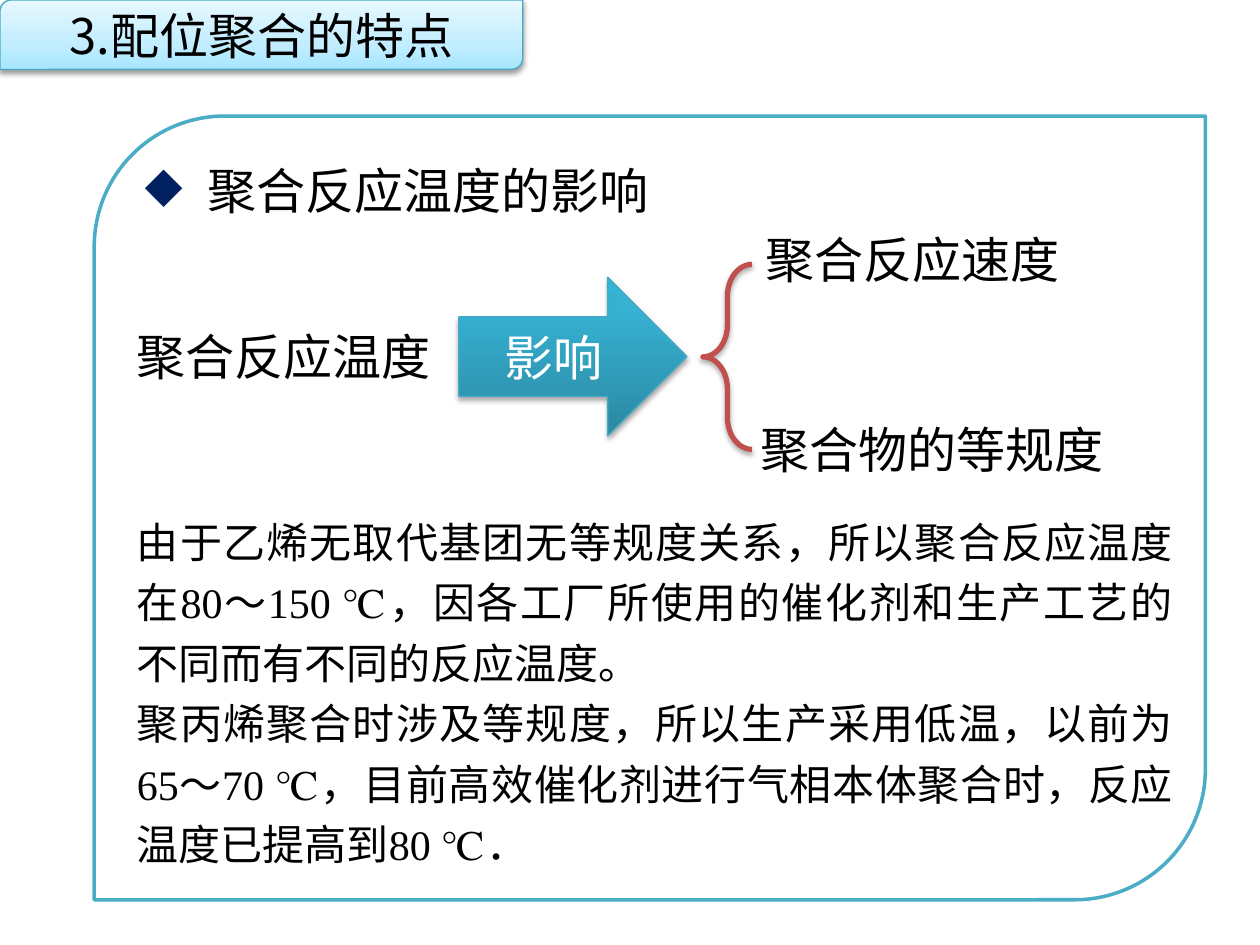
from dataclasses import dataclass
from typing import Any, Optional

from lxml.etree import SubElement
from pptx import Presentation
from pptx.dml.color import RGBColor
from pptx.enum.shapes import MSO_SHAPE
from pptx.enum.text import MSO_ANCHOR, MSO_AUTO_SIZE, PP_ALIGN
from pptx.oxml.ns import qn
from pptx.util import Cm, Pt

BLACK = RGBColor(0x00, 0x00, 0x00)
WHITE = RGBColor(0xFF, 0xFF, 0xFF)
NAVY = RGBColor(0x00, 0x20, 0x60)
RED = RGBColor(0xC0, 0x50, 0x4D)
AQUA = RGBColor(0x4B, 0xAC, 0xC6)
AQUA_EDGE = RGBColor(0x46, 0xAA, 0xC5)
PALE_STOPS = (
    (0, RGBColor(0xA7, 0xE6, 0xFF)),
    (35, RGBColor(0xC1, 0xED, 0xFF)),
    (100, RGBColor(0xE7, 0xF8, 0xFF)),
)
TEAL_STOPS = (
    (0, RGBColor(0x2A, 0x88, 0xA2)),
    (80, RGBColor(0x37, 0xB1, 0xD2)),
    (100, RGBColor(0x34, 0xB4, 0xD6)),
)
CJK_FONT = "Noto Sans CJK SC"


@dataclass(frozen=True)
class Area:
    left: float
    top: float
    width: float
    height: float

    def lengths(self) -> tuple:
        return Cm(self.left), Cm(self.top), Cm(self.width), Cm(self.height)


@dataclass(frozen=True)
class Figure:
    kind: MSO_SHAPE
    area: Area
    line: RGBColor
    line_width: float
    stops: tuple = ()
    shadow_alpha: int = 0
    shadow_distance: float = 1.8


@dataclass(frozen=True)
class Label:
    text: str
    area: Area


TITLE = Figure(MSO_SHAPE.ROUND_2_DIAG_RECTANGLE, Area(0, 0, 10.54, 1.4),
               AQUA_EDGE, 0.75, PALE_STOPS, 38, 1.6)
PANEL = Figure(MSO_SHAPE.ROUND_2_DIAG_RECTANGLE, Area(1.9, 2.34, 22.4, 15.8), AQUA, 2)
ARROW = Figure(MSO_SHAPE.RIGHT_ARROW, Area(9.25, 5.59, 4.6, 3.2),
               AQUA_EDGE, 0.75, TEAL_STOPS, 35)
BRACE = Figure(MSO_SHAPE.LEFT_BRACE, Area(14.17, 5.33, 0.99, 3.73), RED, 3, (), 35)

CAUSE = Label("聚合反应温度", Area(2.51, 6.45, 6.5, 1.45))
EFFECTS = (
    Label("聚合反应速度", Area(15.19, 4.5, 6.5, 1.45)),
    Label("聚合物的等规度", Area(15.09, 8.33, 7.49, 1.45)),
)
BODY_AREA = Area(2.51, 10.08, 21.39, 7.65)
BODY_TEXTS = (
    "由于乙烯无取代基团无等规度关系，所以聚合反应温度在80～150 ℃，"
    "因各工厂所使用的催化剂和生产工艺的不同而有不同的反应温度。",
    "聚丙烯聚合时涉及等规度，所以生产采用低温，以前为65～70 ℃，"
    "目前高效催化剂进行气相本体聚合时，反应温度已提高到80 ℃．",
)


def apply_format(target: Any, values: dict) -> None:
    for name, value in values.items():
        setattr(target, name, value)


def add_color(parent: Any, color: RGBColor) -> Any:
    return SubElement(parent, qn("a:srgbClr"), val=str(color))


def set_gradient(shape: Any, stops: tuple) -> None:
    shape.fill.gradient()
    shape.fill.gradient_angle = 90
    stop_list = shape._element.spPr.find(".//" + qn("a:gsLst"))
    for old_stop in list(stop_list):
        stop_list.remove(old_stop)
    for percent, color in stops:
        add_color(SubElement(stop_list, qn("a:gs"), pos=str(percent * 1000)), color)


def set_shadow(shape: Any, alpha: int, distance: float) -> None:
    effects = shape._element.spPr.find(qn("a:effectLst"))
    shadow = SubElement(effects, qn("a:outerShdw"), blurRad=str(Pt(3.1)),
                        dist=str(Pt(distance)), dir="5400000", rotWithShape="0")
    SubElement(add_color(shadow, BLACK), qn("a:alpha"), val=str(alpha * 1000))


def add_figure(page: Any, figure: Figure) -> Any:
    shape = page.shapes.add_shape(figure.kind, *figure.area.lengths())
    shape.shadow.inherit = False
    if figure.stops:
        set_gradient(shape, figure.stops)
    else:
        shape.fill.background()
    shape.line.color.rgb = figure.line
    shape.line.width = Pt(figure.line_width)
    if figure.shadow_alpha:
        set_shadow(shape, figure.shadow_alpha, figure.shadow_distance)
    return shape


def write(para: Any, text: str, font: str, size: float = 28,
          color: RGBColor = BLACK, layout: Optional[dict] = None) -> None:
    apply_format(para, layout or {"alignment": PP_ALIGN.LEFT})
    span = para.add_run()
    span.text = text
    apply_format(span.font, {"name": font, "size": Pt(size)})
    span.font.color.rgb = color
    SubElement(span._r.get_or_add_rPr(), qn("a:ea"), typeface=CJK_FONT)


def add_text_box(page: Any, area: Area, wrap: bool) -> Any:
    box = page.shapes.add_textbox(*area.lengths())
    apply_format(box.text_frame, {"word_wrap": wrap,
                                  "auto_size": MSO_AUTO_SIZE.SHAPE_TO_FIT_TEXT})
    return box.text_frame


def add_label(page: Any, label: Label) -> None:
    frame = add_text_box(page, label.area, False)
    write(frame.paragraphs[0], label.text, "Arial")


def add_diamond_bullet(para: Any) -> None:
    properties = para._p.get_or_add_pPr()
    apply_indent = {"marL": Cm(1.27), "indent": Cm(-1.27)}
    for name, length in apply_indent.items():
        properties.set(name, str(length))
    add_color(SubElement(properties, qn("a:buClr")), NAVY)
    SubElement(properties, qn("a:buChar"), char="◆")


def main() -> None:
    deck = Presentation()
    apply_format(deck, {"slide_width": Cm(25.4), "slide_height": Cm(19.05)})
    page = deck.slides.add_slide(deck.slide_layouts[6])
    centred = {"alignment": PP_ALIGN.CENTER}

    title = add_figure(page, TITLE).text_frame
    title.vertical_anchor = MSO_ANCHOR.MIDDLE
    write(title.paragraphs[0], "3.配位聚合的特点", CJK_FONT, layout=centred)

    panel = add_figure(page, PANEL).text_frame
    panel.vertical_anchor = MSO_ANCHOR.TOP
    add_diamond_bullet(panel.paragraphs[0])
    write(panel.paragraphs[0], "聚合反应温度的影响", CJK_FONT)

    add_label(page, CAUSE)
    arrow = add_figure(page, ARROW).text_frame
    arrow.vertical_anchor = MSO_ANCHOR.MIDDLE
    write(arrow.paragraphs[0], "影响", "Calibri", color=WHITE, layout=centred)

    brace = add_figure(page, BRACE)
    brace.adjustments[0] = 0.65
    for effect in EFFECTS:
        add_label(page, effect)

    body = add_text_box(page, BODY_AREA, True)
    justified = {"alignment": PP_ALIGN.JUSTIFY, "line_spacing": 1.2}
    for index, text in enumerate(BODY_TEXTS):
        para = body.add_paragraph() if index else body.paragraphs[0]
        write(para, text, "Times New Roman", 24, layout=justified)

    deck.save("out.pptx")


if __name__ == "__main__":
    main()
